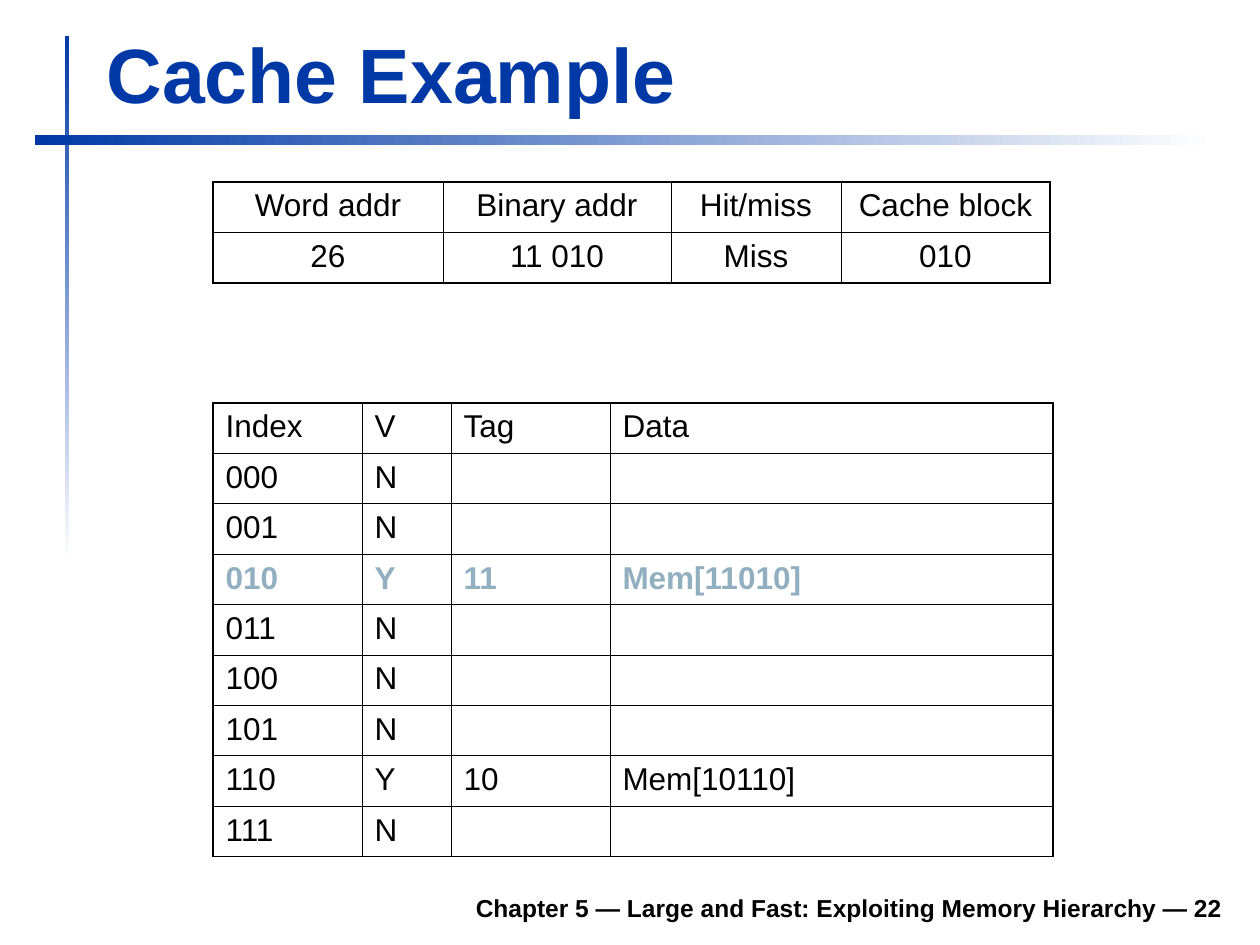
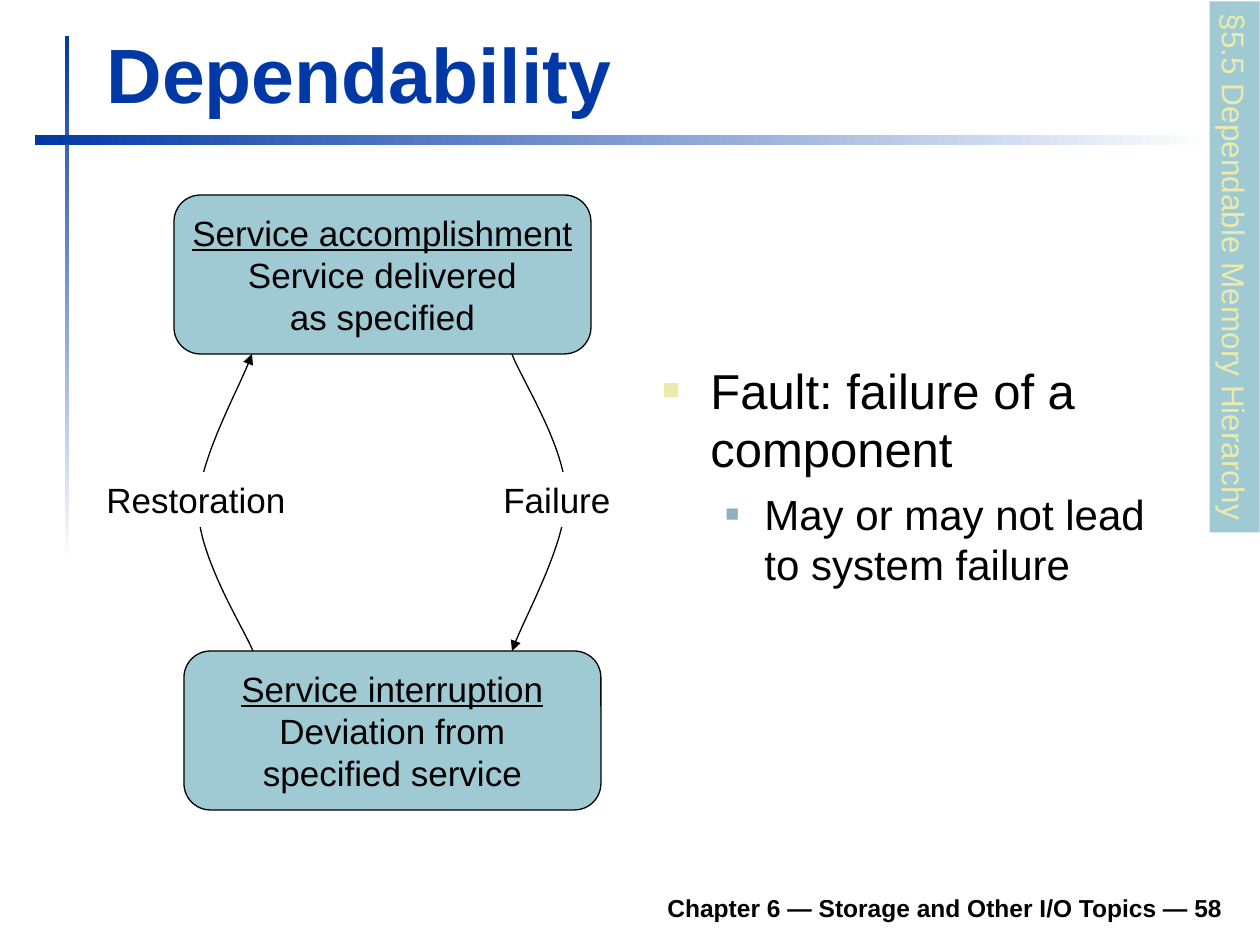
from lxml.etree import SubElement as Sub
from pptx import Presentation
from pptx.dml.color import RGBColor as RGB
from pptx.enum.shapes import MSO_SHAPE as Shape
from pptx.enum.text import MSO_ANCHOR as Anchor, MSO_AUTO_SIZE as Fit, PP_ALIGN as Align
from pptx.oxml.ns import qn
from pptx.util import Pt

PX = 914400 / 126
FONT = "Arial"
HUES = {"blue": "0039A6", "white": "FFFFFF", "black": "000000",
        "teal": "9FCAD3", "steel": "91AFBF", "cream": "ECEAAC"}


def px(*nums):
    """Turn px lengths into EMU."""
    return [round(n * PX) for n in nums]


def style(par, size, hue="black", bold=False, align=Align.LEFT, under=False):
    par.alignment = align
    for run in par.runs:
        font = run.font
        font.name, font.size = FONT, Pt(size)
        font.bold, font.underline = bold, under
        font.color.rgb = RGB.from_string(HUES[hue])


deck = Presentation()
deck.slide_width, deck.slide_height = px(1260, 945)

# Title, gradient bands and footer on both slides
heads = [
    ("Cache Example", "Chapter 5 — Large and Fast: Exploiting Memory Hierarchy — 22"),
    ("Dependability", "Chapter 6 — Storage and Other I/O Topics — 58"),
]
bands = [((65, 36, 4, 525), 270), ((35, 135, 1180, 10), 0)]
slides = []
for name, foot in heads:
    slide = deck.slides.add_slide(deck.slide_layouts[5])
    slides.append(slide)
    for box, angle in bands:
        band = slide.shapes.add_shape(Shape.RECTANGLE, *px(*box))
        band.shadow.inherit = False
        band.line.fill.background()
        band.fill.gradient()
        band.fill.gradient_angle = angle
        for stop, hue in zip(band.fill.gradient_stops, ("blue", "white")):
            stop.color.rgb = RGB.from_string(HUES[hue])

    note = slide.shapes.add_textbox(*px(233, 880, 1002, 49))
    title = slide.shapes.title
    title.left, title.top, title.width, title.height = px(94, 20, 1138, 105)
    rows = [(title, name, 44, "blue", Align.LEFT), (note, foot, 14, "black", Align.RIGHT)]
    for item, text, size, hue, align in rows:
        frame = item.text_frame
        frame.word_wrap, frame.auto_size = True, Fit.NONE
        frame.vertical_anchor = Anchor.BOTTOM
        frame.text = text
        style(frame.paragraphs[0], size, hue, True, align)

cache, depend = slides

# Cache tables: place, column widths, alignment, rows, bold row
state = [("Index", "V", "Tag", "Data")]
held = {"010": ("Y", "11", "Mem[11010]"), "110": ("Y", "10", "Mem[10110]")}
for num in range(8):
    index = f"{num:03b}"
    state.append((index, *held.get(index, ("N", "", ""))))
access = [("Word addr", "Binary addr", "Hit/miss", "Cache block"),
          ("26", "11 010", "Miss", "010")]
grids = [
    ((213, 403, 840, 454), (149, 89, 159, 443), Align.LEFT, state, 3),
    ((213, 182, 837, 101), (230, 228, 170, 209), Align.CENTER, access, None),
]
for box, widths, align, rows, strong in grids:
    size = len(rows), len(widths)
    table = cache.shapes.add_table(*size, *px(*box)).table
    table.first_row = table.horz_banding = False
    for col, width in zip(table.columns, px(*widths)):
        col.width = width
    for r, row in enumerate(rows):
        for c, text in enumerate(row):
            cell = table.cell(r, c)
            par = cell.text_frame.paragraphs[0]
            if text:
                par.text = text
                par.space_before = Pt(4.5)
                lit = r == strong
                style(par, 18, "steel" if lit else "black", lit, align)
            else:
                blank = Sub(par._p, qn("a:endParaRPr"), sz="1800")
                Sub(blank, qn("a:latin"), typeface=FONT)
            edges = {
                "lnL": 1.08 if c == 0 else 0.45,
                "lnR": 1.08 if c == size[1] - 1 else 0.45,
                "lnT": {0: 1.08, 1: 0.75}.get(r, 0.45),
                "lnB": 1.08 if r == size[0] - 1 else 0.75 if r == 0 else 0.45,
            }
            props = cell._tc.get_or_add_tcPr()
            for tag, width in edges.items():
                line = Sub(props, qn("a:" + tag), w=str(Pt(width)))
                fill = Sub(line, qn("a:solidFill"))
                Sub(fill, qn("a:srgbClr"), val=HUES["black"])
            cell.fill.background()

# Fault bullets
body = depend.shapes.add_textbox(*px(650, 354, 546, 507)).text_frame
body.word_wrap = True
body.text = "Fault: failure of a component\nMay or may not lead to system failure"
looks = [(28, 7, 48, 48, "cream", 60), (24, 6, 102, 39, "steel", 55)]
for level, (par, look) in enumerate(zip(body.paragraphs, looks)):
    size, gap, left, hang, hue, scale = look
    style(par, size)
    par.level, par.space_before = level, Pt(gap)
    props = par._p.get_or_add_pPr()
    left, hang = px(left, hang)
    props.set("marL", str(left))
    props.set("indent", str(-hang))
    Sub(Sub(props, qn("a:buClr")), qn("a:srgbClr"), val=HUES[hue])
    Sub(props, qn("a:buSzPct"), val=str(scale * 1000))
    Sub(props, qn("a:buFont"), typeface=FONT)
    Sub(props, qn("a:buChar"), char="■")

# Service states
states = [
    (174, 195, "Service accomplishment", "Service delivered\nas specified"),
    (184, 651, "Service interruption", "Deviation from\nspecified service"),
]
for left, top, name, text in states:
    block = depend.shapes.add_shape(Shape.ROUNDED_RECTANGLE, *px(left, top, 417, 159))
    block.shadow.inherit = False
    block.fill.solid()
    block.fill.fore_color.rgb = RGB.from_string(HUES["teal"])
    block.line.color.rgb = RGB.from_string(HUES["black"])
    block.line.width = Pt(0.75)
    frame = block.text_frame
    frame.word_wrap, frame.vertical_anchor = False, Anchor.MIDDLE
    frame.text = name
    more = frame.add_paragraph()
    more.text = text
    style(frame.paragraphs[0], 20, align=Align.CENTER, under=True)
    style(more, 20, align=Align.CENTER)

# Transitions: two Bézier arcs each, with the label over the middle
moves = [
    ("Failure", (491, 472, 136, 55), Align.LEFT,
     [(512, 354), (520, 377), (566, 447), (566, 496), (566, 546), (523, 619), (512, 651)]),
    ("Restoration", (86, 472, 212, 55), Align.RIGHT,
     [(253, 651), (243, 627), (199, 558), (198, 508), (198, 459), (241, 386), (252, 354)]),
]
for name, box, align, knots in moves:
    dots = []
    for first in (0, 3):
        for step in range(1, 21):
            t = step / 20
            mix = ((1 - t) ** 3, 3 * t * (1 - t) ** 2, 3 * t * t * (1 - t), t ** 3)
            arc = knots[first:first + 4]
            dots.append(px(*(sum(m * k[axis] for m, k in zip(mix, arc)) for axis in (0, 1))))
    pen = depend.shapes.build_freeform(*px(*knots[0]))
    pen.add_line_segments(dots, close=False)
    curve = pen.convert_to_shape()
    curve.shadow.inherit = False
    curve.fill.background()
    curve.line.color.rgb = RGB.from_string(HUES["black"])
    curve.line.width = Pt(0.75)
    Sub(curve.element.spPr.find(qn("a:ln")), qn("a:tailEnd"), type="triangle")

    label = depend.shapes.add_textbox(*px(*box))
    label.fill.solid()
    label.fill.fore_color.rgb = RGB.from_string(HUES["white"])
    label.text_frame.word_wrap = True
    label.text_frame.text = name
    style(label.text_frame.paragraphs[0], 20, align=align)

# Section tab on the right edge
tab = depend.shapes.add_textbox(*px(969, 242, 531, 50))
tab.rotation = 90
tab.fill.solid()
tab.fill.fore_color.rgb = RGB.from_string(HUES["teal"])
tab.text_frame.word_wrap = False
tab.text_frame.text = "§5.5 Dependable Memory Hierarchy"
style(tab.text_frame.paragraphs[0], 18, "cream")

deck.save("out.pptx")
